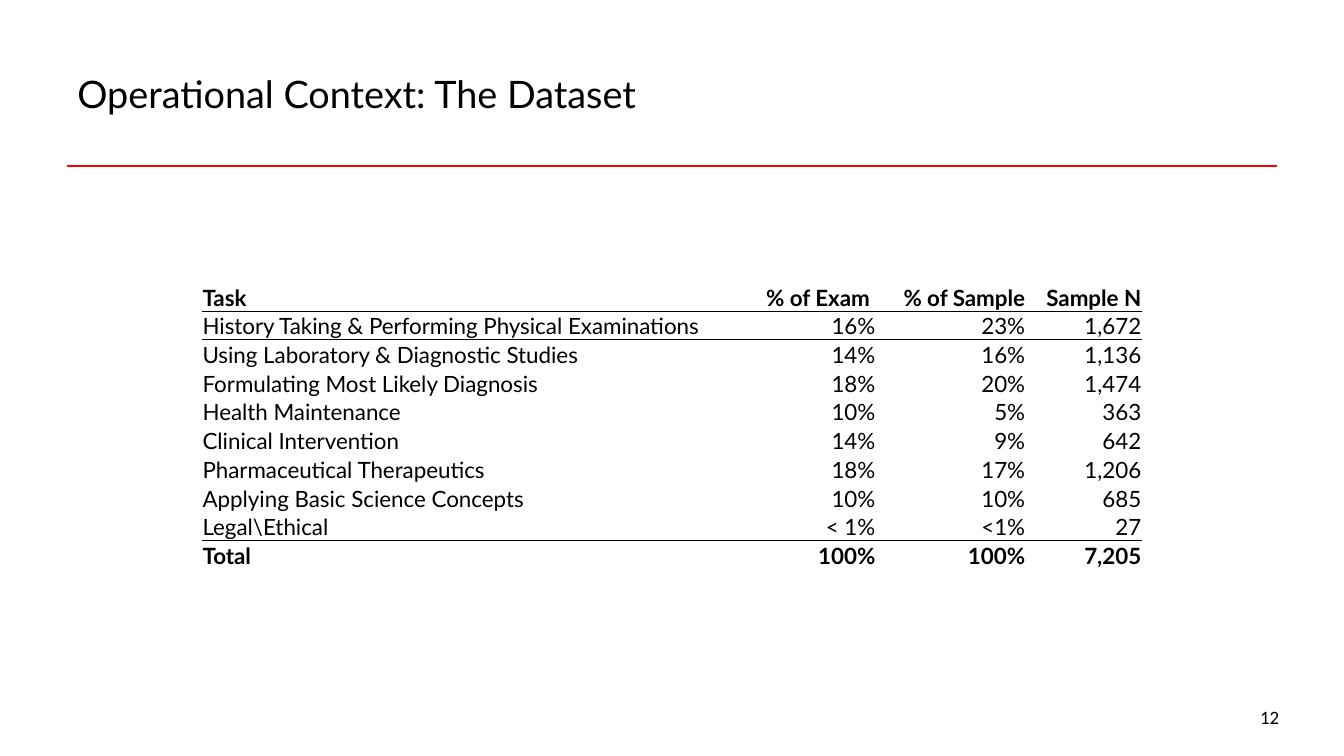
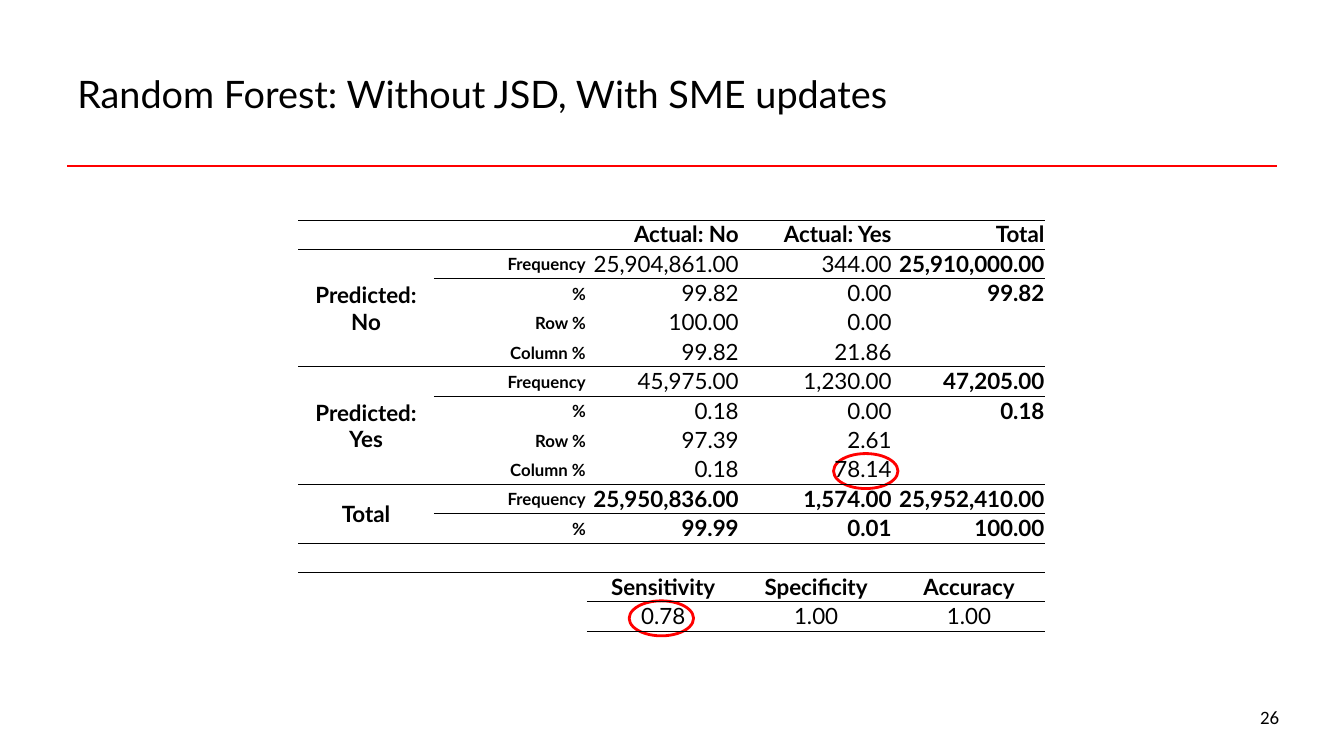
from collections.abc import Callable
from dataclasses import dataclass

from lxml.etree import SubElement
from pptx import Presentation
from pptx.dml.color import RGBColor
from pptx.enum.shapes import MSO_CONNECTOR, MSO_SHAPE
from pptx.enum.text import MSO_ANCHOR as Anchor
from pptx.enum.text import MSO_AUTO_SIZE, PP_ALIGN as Align
from pptx.oxml.ns import qn
from pptx.slide import Slide
from pptx.table import _Cell as Cell
from pptx.util import Pt

BLACK = RGBColor(0x00, 0x00, 0x00)
RED = RGBColor(0xFF, 0x00, 0x00)

TEXT_FONT = "Lato"
NUMBER_FONT = "Calibri"
MARGIN = 48
CONTENT_WIDTH = 864
RULE_TOP = 118.8
BORDER_WIDTH = 0.5
NO_TABLE_STYLE = "{2D5ABB26-0587-4C30-8999-92F81FD0307C}"


@dataclass(frozen=True)
class CellStyle:
    align: Align
    anchor: Anchor
    bold: bool = False
    size: float = 16


@dataclass(frozen=True)
class Rule:
    """A horizontal line above the given row, starting at a column."""

    row: int
    first_column: int = 0


@dataclass(frozen=True)
class RowGroup:
    """Rows whose first cells are merged."""

    first: int
    last: int


@dataclass(frozen=True)
class TableData:
    left: float
    top: float
    row_height: float
    widths: list[float]
    rows: list[list[str]]
    rules: list[Rule]
    style: Callable[[int, int], CellStyle]
    groups: tuple[RowGroup, ...] = ()


@dataclass(frozen=True)
class Highlight:
    left: float
    top: float
    width: float = 46
    height: float = 25


def dataset_style(row: int, column: int) -> CellStyle:
    align = Align.RIGHT if column else Align.LEFT
    return CellStyle(align, Anchor.BOTTOM, bold=row in (0, 9))


def confusion_style(row: int, column: int) -> CellStyle:
    if column == 0:
        return CellStyle(Align.CENTER, Anchor.MIDDLE, bold=True)
    if column == 1:
        return CellStyle(Align.RIGHT, Anchor.MIDDLE, bold=True, size=12)
    if row >= 12:
        return CellStyle(Align.CENTER, Anchor.TOP, bold=row == 12)
    is_total = row in (0, 9, 10) or column == 4
    return CellStyle(Align.RIGHT, Anchor.TOP, bold=is_total)


DATASET = TableData(
    left=144,
    top=201.6,
    row_height=20.5,
    widths=[385, 97, 107, 83],
    rows=[
        ["Task", "% of Exam ", "% of Sample", "Sample N"],
        ["History Taking & Performing Physical Examinations", "16%", "23%", "1,672"],
        ["Using Laboratory & Diagnostic Studies", "14%", "16%", "1,136"],
        ["Formulating Most Likely Diagnosis", "18%", "20%", "1,474"],
        ["Health Maintenance", "10%", "5%", "363"],
        ["Clinical Intervention", "14%", "9%", "642"],
        ["Pharmaceutical Therapeutics", "18%", "17%", "1,206"],
        ["Applying Basic Science Concepts", "10%", "10%", "685"],
        ["Legal\\Ethical", "< 1%", "<1%", "27"],
        ["Total", "100%", "100%", "7,205"],
    ],
    rules=[Rule(1), Rule(9)],
    style=dataset_style,
)

CONFUSION = TableData(
    left=213,
    top=157,
    row_height=21,
    widths=[97] + [109.2] * 4,
    rows=[
        ["", "", "Actual: No", "Actual: Yes", "Total"],
        ["Predicted: No", "Frequency", "25,904,861.00", "344.00", "25,910,000.00"],
        ["", "%", "99.82", "0.00", "99.82"],
        ["", "Row %", "100.00", "0.00", ""],
        ["", "Column %", "99.82", "21.86", ""],
        ["Predicted: Yes", "Frequency", "45,975.00", "1,230.00", "47,205.00"],
        ["", "%", "0.18", "0.00", "0.18"],
        ["", "Row %", "97.39", "2.61", ""],
        ["", "Column %", "0.18", "78.14", ""],
        ["Total", "Frequency", "25,950,836.00", "1,574.00", "25,952,410.00"],
        ["", "%", "99.99", "0.01", "100.00"],
        ["", "", "", "", ""],
        ["", "", "Sensitivity", "Specificity", "Accuracy"],
        ["", "", "0.78", "1.00", "1.00"],
    ],
    rules=[Rule(row) for row in (0, 1, 5, 9, 11)]
    + [Rule(row, first_column=2) for row in (12, 13, 14)],
    style=confusion_style,
    groups=(RowGroup(1, 4), RowGroup(5, 8), RowGroup(9, 10)),
)

HIGHLIGHTS = [Highlight(449.4, 429.2), Highlight(595.4, 324)]


def add_base_slide(presentation: Presentation, title: str, number: int) -> Slide:
    """Add a slide with the shared title, red rule and slide number."""
    slide = presentation.slides.add_slide(presentation.slide_layouts[5])

    # Title
    shape = slide.shapes.title
    shape.left, shape.top = Pt(MARGIN), Pt(21.6)
    shape.width, shape.height = Pt(CONTENT_WIDTH), Pt(90)
    frame = shape.text_frame
    frame.text = title
    frame.auto_size = MSO_AUTO_SIZE.NONE
    frame.vertical_anchor = Anchor.MIDDLE
    paragraph = frame.paragraphs[0]
    paragraph.alignment = Align.LEFT
    set_font(paragraph.font, TEXT_FONT, 27)

    # Rule under the title
    line = slide.shapes.add_connector(
        MSO_CONNECTOR.STRAIGHT,
        Pt(MARGIN), Pt(RULE_TOP), Pt(MARGIN + CONTENT_WIDTH), Pt(RULE_TOP),
    )
    line.line.color.rgb = RED
    line.line.width = Pt(1.5)
    SubElement(line._element.spPr, qn("a:effectLst"))

    # Slide number
    box = slide.shapes.add_textbox(Pt(893), Pt(500.4), Pt(67), Pt(29))
    box.text_frame.word_wrap = True
    box.text_frame.text = str(number)
    set_font(box.text_frame.paragraphs[0].font, NUMBER_FONT, 13.5)
    return slide


def set_font(font, name: str, size: float, bold: bool = False) -> None:
    font.name = name
    font.size = Pt(size)
    font.bold = bold
    font.color.rgb = BLACK


def add_border(cell: Cell, tag: str) -> None:
    properties = cell._tc.get_or_add_tcPr()
    border = SubElement(properties, qn(tag), w=str(Pt(BORDER_WIDTH)))
    fill = SubElement(border, qn("a:solidFill"))
    SubElement(fill, qn("a:srgbClr"), val=str(BLACK))


def format_cell(cell: Cell, text: str, style: CellStyle) -> None:
    cell.margin_left = cell.margin_right = cell.margin_top = Pt(0.72)
    cell.margin_bottom = 0
    cell.vertical_anchor = style.anchor
    cell.text = text
    paragraph = cell.text_frame.paragraphs[0]
    paragraph.alignment = style.align
    set_font(paragraph.font, TEXT_FONT, style.size, style.bold)
    if not text:
        # Keeps empty cells from stretching their row
        SubElement(paragraph._p, qn("a:endParaRPr"), sz=str(int(style.size * 100)))


def draw_table(slide: Slide, data: TableData) -> None:
    frame = slide.shapes.add_table(
        len(data.rows), len(data.widths), Pt(data.left), Pt(data.top),
        Pt(sum(data.widths)), Pt(data.row_height * len(data.rows)),
    )
    table = frame.table
    table.first_row = table.horz_banding = False
    table._tbl.tblPr.find(qn("a:tableStyleId")).text = NO_TABLE_STYLE
    for column, width in zip(table.columns, data.widths):
        column.width = Pt(width)
    for group in data.groups:
        table.cell(group.first, 0).merge(table.cell(group.last, 0))

    starts = {rule.row: rule.first_column for rule in data.rules}
    for i, texts in enumerate(data.rows):
        for j, text in enumerate(texts):
            cell = table.cell(i, j)
            format_cell(cell, text, data.style(i, j))
            for tag, edge in (("a:lnT", i), ("a:lnB", i + cell.span_height)):
                if edge in starts and j >= starts[edge]:
                    add_border(cell, tag)
            cell.fill.background()


def draw_highlight(slide: Slide, mark: Highlight) -> None:
    oval = slide.shapes.add_shape(
        MSO_SHAPE.OVAL, Pt(mark.left), Pt(mark.top), Pt(mark.width), Pt(mark.height)
    )
    oval.shadow.inherit = False
    oval.fill.background()
    oval.line.color.rgb = RED
    oval.line.width = Pt(2)


def main() -> None:
    presentation = Presentation()
    presentation.slide_width, presentation.slide_height = Pt(960), Pt(540)

    # Dataset
    slide = add_base_slide(presentation, "Operational Context: The Dataset", 12)
    draw_table(slide, DATASET)

    # Random forest results
    slide = add_base_slide(
        presentation, "Random Forest: Without JSD, With SME updates", 26
    )
    for mark in HIGHLIGHTS:
        draw_highlight(slide, mark)
    draw_table(slide, CONFUSION)

    presentation.save("out.pptx")


if __name__ == "__main__":
    main()
